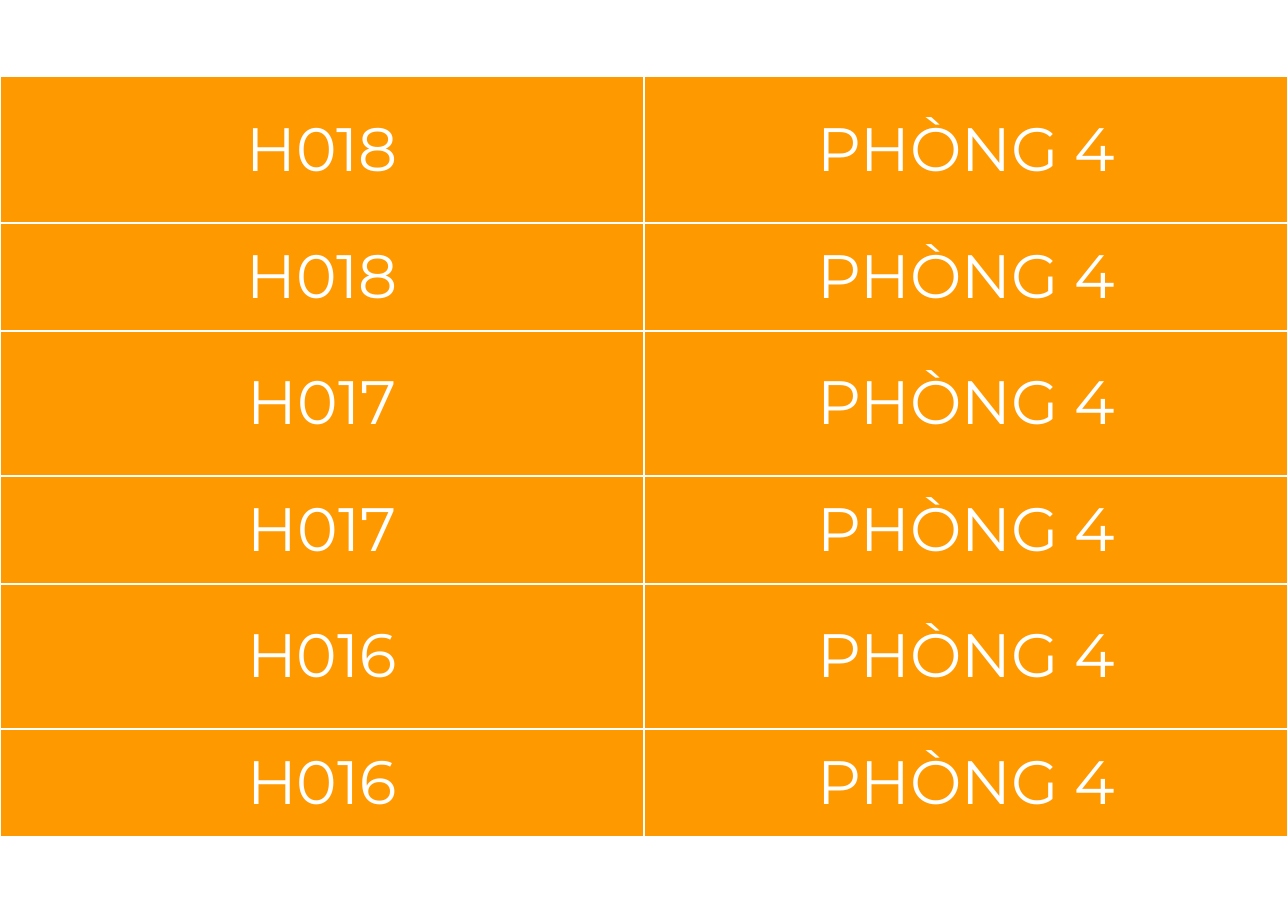
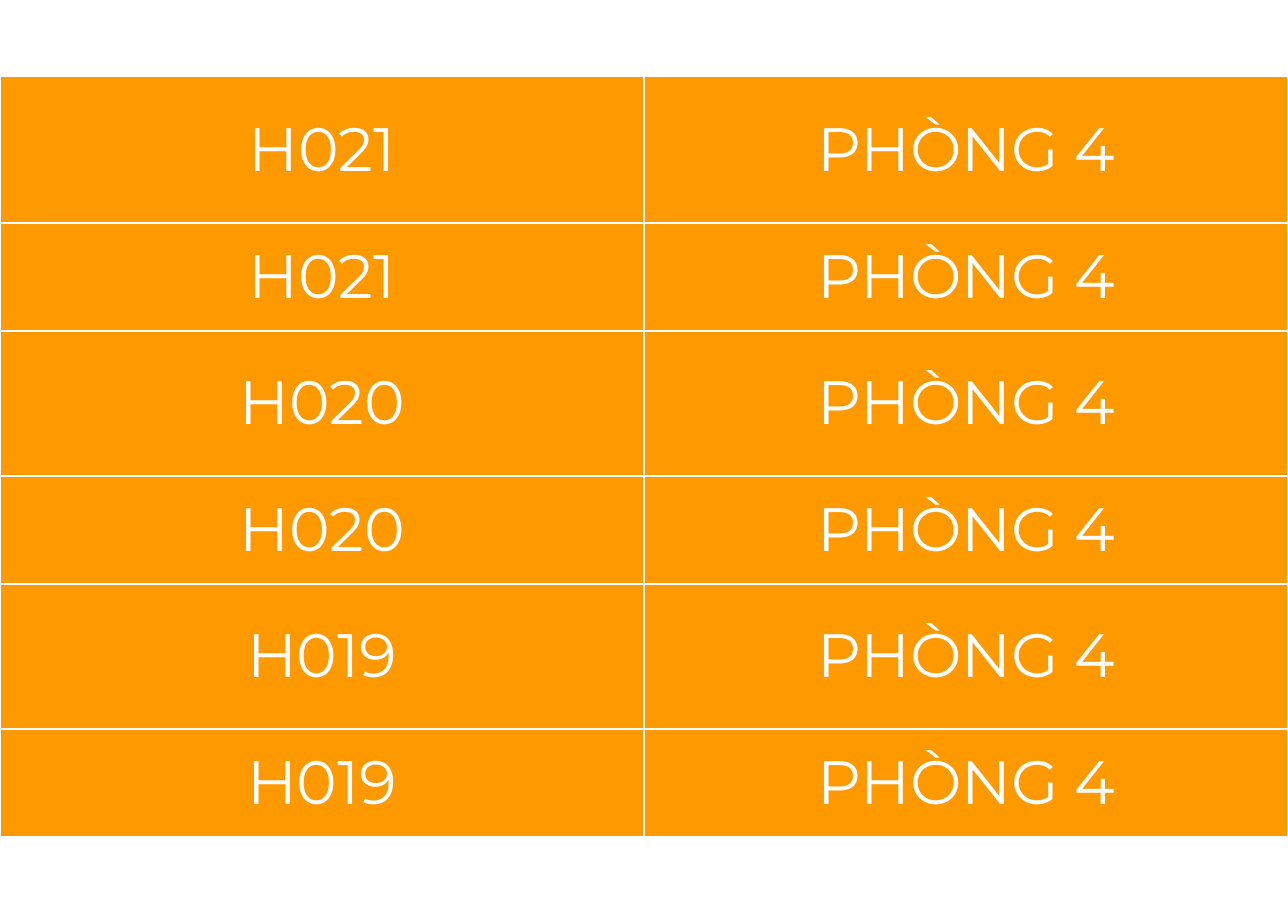
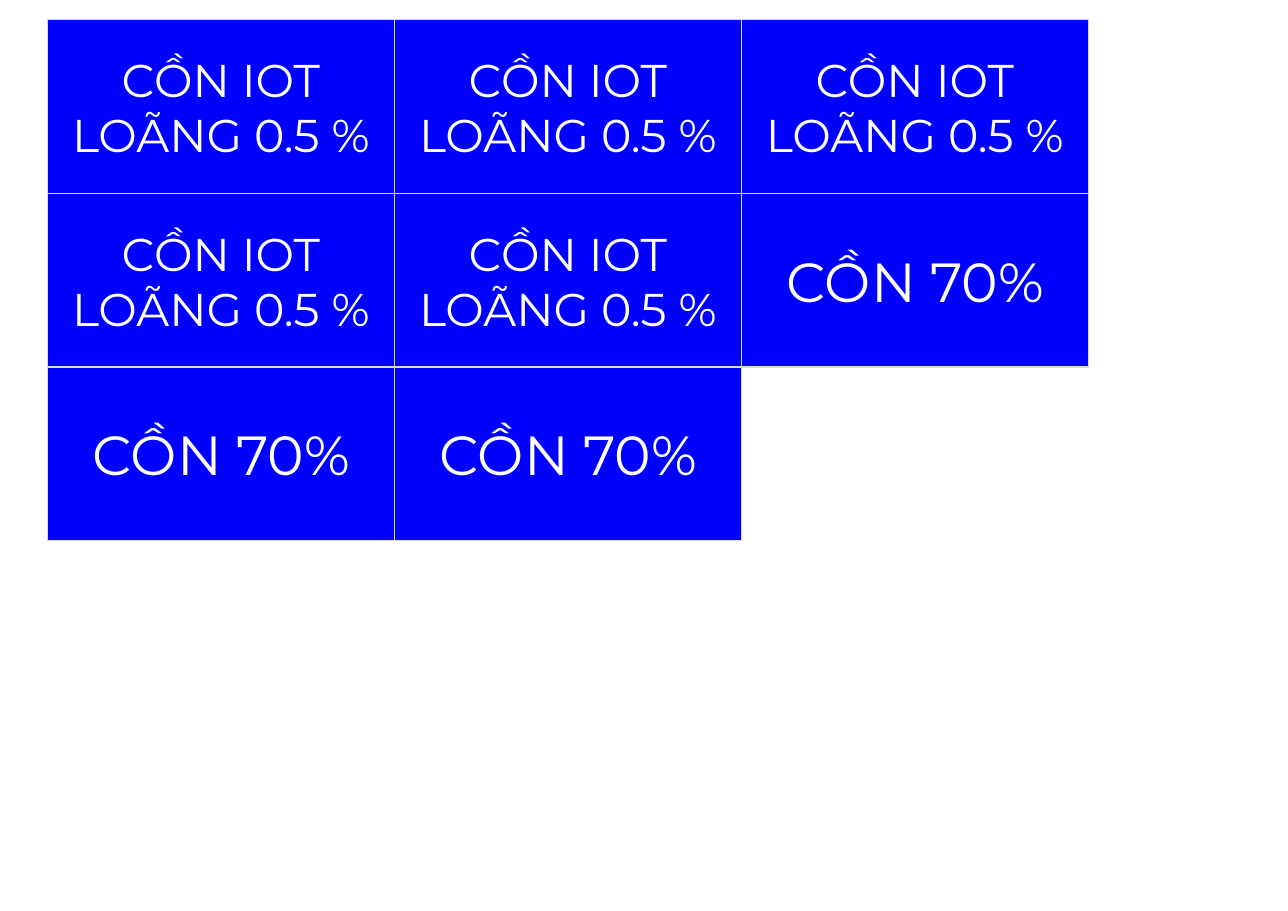
import dataclasses

import lxml.etree
import pptx
import pptx.dml.color
import pptx.enum.shapes
import pptx.enum.text
import pptx.oxml.ns
import pptx.util

Pt = pptx.util.Pt
RGB = pptx.dml.color.RGBColor.from_string
qn = pptx.oxml.ns.qn


@dataclasses.dataclass(frozen=True)
class Theme:
    font: str = "Montserrat"
    text: str = "FFFFFF"
    room_fill: str = "FF9900"
    room_border: str = "FFFFFF"
    bottle_fill: str = "0000FF"
    bottle_border: str = "D9D9D9"
    room_size: float = 40
    two_line_size: float = 30
    one_line_size: float = 36
    room_border_width: float = 1.5
    bottle_border_width: float = 0.75


THEME = Theme()
SLIDE_WIDTH, SLIDE_HEIGHT = 841.9, 595.3

# Room labels: each code has a tall and a short strip
ROOM = "PHÒNG 4"
ROOM_TOP = 49.5
ROOM_PITCH = 165.3
TALL_ROW, SHORT_ROW = 96.3, 67.7
ROOM_SLIDES = [("H018", "H017", "H016"), ("H021", "H020", "H019")]

# Bottle labels: filled row by row
BOTTLE_LEFT, BOTTLE_TOP = 31, 13
BOTTLE_WIDTH, BOTTLE_HEIGHT = 226.8, 113.4
BOTTLE_COLUMNS = 3
IODINE = ("CỒN IOT LOÃNG 0.5 %", THEME.two_line_size)
ALCOHOL = ("CỒN 70%", THEME.one_line_size)
BOTTLES = [IODINE] * 5 + [ALCOHOL] * 3


def set_all(target, values):
    for name, value in values.items():
        setattr(target, name, value)


def margins(horizontal, vertical):
    return {
        "margin_left": Pt(horizontal), "margin_right": Pt(horizontal),
        "margin_top": Pt(vertical), "margin_bottom": Pt(vertical),
        "vertical_anchor": pptx.enum.text.MSO_ANCHOR.MIDDLE,
    }


def write_centred(text_frame, wording, size):
    paragraph = text_frame.paragraphs[0]
    paragraph.alignment = pptx.enum.text.PP_ALIGN.CENTER
    run = paragraph.add_run()
    run.text = wording
    set_all(run.font, {"name": THEME.font, "size": Pt(size)})
    run.font.color.rgb = RGB(THEME.text)


def fill_solid(part, colour):
    part.fill.solid()
    part.fill.fore_color.rgb = RGB(colour)


def add_cell_borders(cell):
    properties = cell._tc.get_or_add_tcPr()
    for side in ("a:lnL", "a:lnR", "a:lnT", "a:lnB"):
        border = lxml.etree.SubElement(
            properties, qn(side), w=str(Pt(THEME.room_border_width)))
        paint = lxml.etree.SubElement(border, qn("a:solidFill"))
        lxml.etree.SubElement(paint, qn("a:srgbClr"), val=THEME.room_border)


def add_room_strip(slide, code, top, height):
    strip = slide.shapes.add_table(
        1, 2, 0, Pt(top), Pt(SLIDE_WIDTH), Pt(height)).table
    set_all(strip, {"first_row": False, "horz_banding": False})
    for cell, wording in zip(strip.iter_cells(), (code, ROOM)):
        set_all(cell, margins(8.64, 10.8))
        add_cell_borders(cell)
        fill_solid(cell, THEME.room_fill)
        write_centred(cell.text_frame, wording, THEME.room_size)


def add_room_labels(slide, codes):
    # Lowest first, so that each strip overlaps the one below it
    for position, code in reversed(list(enumerate(codes))):
        top = ROOM_TOP + position * ROOM_PITCH
        add_room_strip(slide, code, top, TALL_ROW)
        add_room_strip(slide, code, top + TALL_ROW, SHORT_ROW)


def add_bottle_label(slide, position, wording, size):
    row, column = divmod(position, BOTTLE_COLUMNS)
    label = slide.shapes.add_shape(
        pptx.enum.shapes.MSO_SHAPE.RECTANGLE,
        Pt(BOTTLE_LEFT + column * BOTTLE_WIDTH),
        Pt(BOTTLE_TOP + row * BOTTLE_HEIGHT),
        Pt(BOTTLE_WIDTH), Pt(BOTTLE_HEIGHT))
    label.shadow.inherit = False
    fill_solid(label, THEME.bottle_fill)
    label.line.color.rgb = RGB(THEME.bottle_border)
    label.line.width = Pt(THEME.bottle_border_width)
    set_all(label.text_frame, {**margins(7.2, 7.2), "word_wrap": True})
    write_centred(label.text_frame, wording, size)


def main():
    deck = pptx.Presentation()
    set_all(deck, {"slide_width": Pt(SLIDE_WIDTH),
                   "slide_height": Pt(SLIDE_HEIGHT)})
    blank = deck.slide_layouts[6]

    # Room label slides
    for codes in ROOM_SLIDES:
        add_room_labels(deck.slides.add_slide(blank), codes)

    # Bottle label slide
    bottle_slide = deck.slides.add_slide(blank)
    for position, (wording, size) in enumerate(BOTTLES):
        add_bottle_label(bottle_slide, position, wording, size)

    deck.save("out.pptx")


if __name__ == "__main__":
    main()
